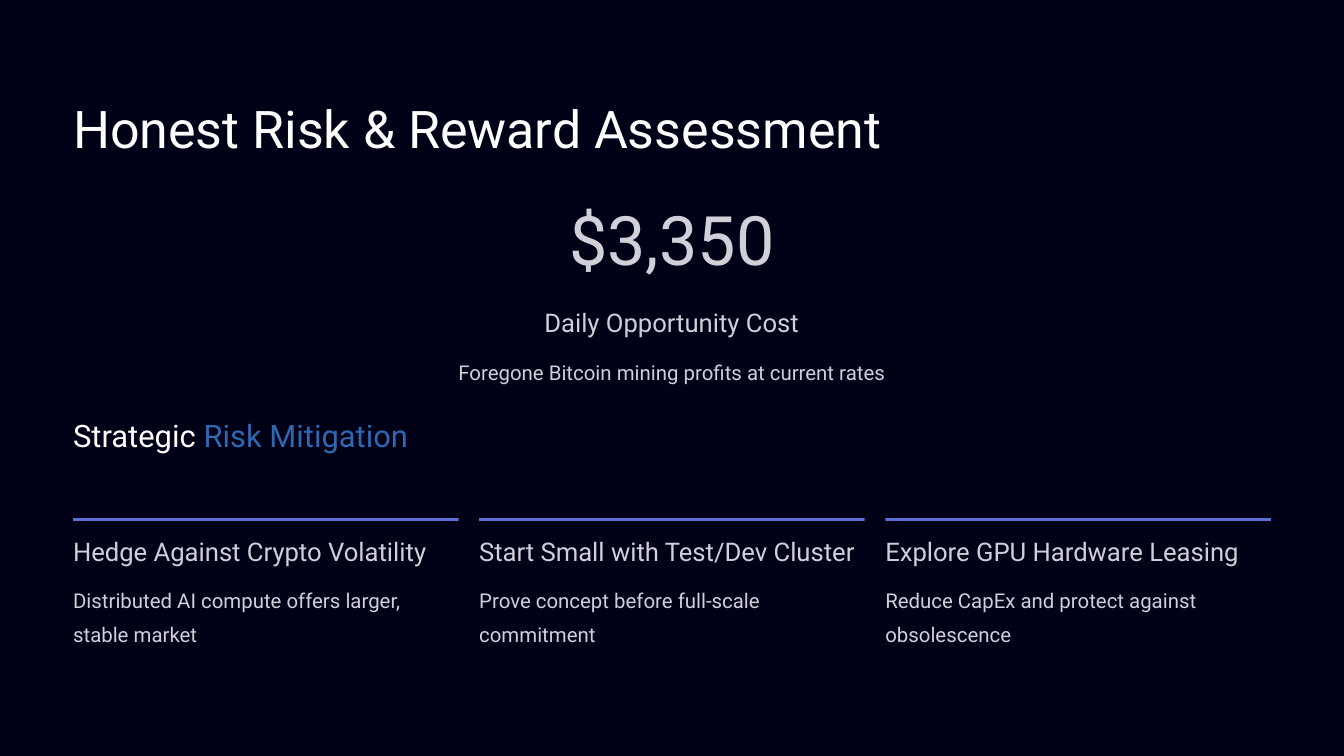
"""Build the risk and reward assessment slide."""
from pptx import Presentation
from pptx.dml.color import RGBColor
from pptx.enum.shapes import MSO_SHAPE as Shape
from pptx.enum.text import PP_ALIGN as Align
from pptx.util import Cm, Pt

WHITE, GREY, BLUE, INDIGO, NIGHT = "FFFFFF", "CFD0D8", "2F67B1", "5A6ED8", "000017"
LEFT, FULL_WIDTH = 2.21, 36.22
COLUMN_WIDTH, COLUMN_GAP = 11.66, 0.62
HEADING, BODY = (22, 27.5), (17.5, 28.5)
MITIGATIONS = [
    ("Hedge Against Crypto Volatility", "Distributed AI compute offers larger, stable market"),
    ("Start Small with Test/Dev Cluster", "Prove concept before full-scale commitment"),
    ("Explore GPU Hardware Leasing", "Reduce CapEx and protect against obsolescence"),
]


def color(value):
    return RGBColor.from_string(value)


class SlideBuilder:
    """Hold the style and the current slide."""

    def __init__(self, page, font="Roboto"):
        self.page = page
        self.font = font

    def background(self, fill):
        self.page.background.fill.solid()
        self.page.background.fill.fore_color.rgb = color(fill)

    def text(self, left, top, width, height, spans, style, align=Align.LEFT):
        box = self.page.shapes.add_textbox(Cm(left), Cm(top), Cm(width), Cm(height))
        frame = box.text_frame
        frame.word_wrap = True
        frame.margin_left = frame.margin_right = frame.margin_top = frame.margin_bottom = 0
        para = frame.paragraphs[0]
        size, spacing = style
        para.alignment = align
        para.line_spacing = Pt(spacing)
        para.font.name = self.font
        para.font.size = Pt(size)
        for words, shade in spans:
            span = para.add_run()
            span.text = words
            span.font.color.rgb = color(shade)

    def rule(self, left, top, width, height, fill):
        bar = self.page.shapes.add_shape(Shape.RECTANGLE, Cm(left), Cm(top), Cm(width), Cm(height))
        bar.shadow.inherit = False
        bar.fill.solid()
        bar.fill.fore_color.rgb = color(fill)
        bar.line.fill.background()

    def column(self, left, heading, body):
        self.rule(left, 15.67, COLUMN_WIDTH, 0.08, INDIGO)
        self.text(left, 16.15, COLUMN_WIDTH, 0.99, [(heading, GREY)], HEADING)
        self.text(left, 17.53, COLUMN_WIDTH, 2.01, [(body, GREY)], BODY)


def main():
    deck = Presentation()
    deck.slide_width, deck.slide_height = Cm(40.64), Cm(22.86)
    slide = SlideBuilder(deck.slides.add_slide(deck.slide_layouts[6]))
    slide.background(NIGHT)
    slide.text(LEFT, 2.84, 24.69, 1.98, [("Honest Risk & Reward Assessment", WHITE)], (44.5, 55.5))
    slide.text(LEFT, 6.38, FULL_WIDTH, 2.08, [("$3,350", GREY)], (58.5, 58.5), Align.CENTER)
    slide.text(16.36, 9.25, 7.9, 0.99, [("Daily Opportunity Cost", GREY)], HEADING, Align.CENTER)
    slide.text(LEFT, 10.62, FULL_WIDTH, 1.02,
               [("Foregone Bitcoin mining profits at current rates", GREY)], BODY, Align.CENTER)
    slide.text(LEFT, 12.57, 10.36, 1.19,
               [("Strategic ", WHITE), ("Risk Mitigation", BLUE)], (26.5, 33))
    for index, (heading, body) in enumerate(MITIGATIONS):
        slide.column(LEFT + index * (COLUMN_WIDTH + COLUMN_GAP), heading, body)
    deck.save("out.pptx")


if __name__ == "__main__":
    main()
